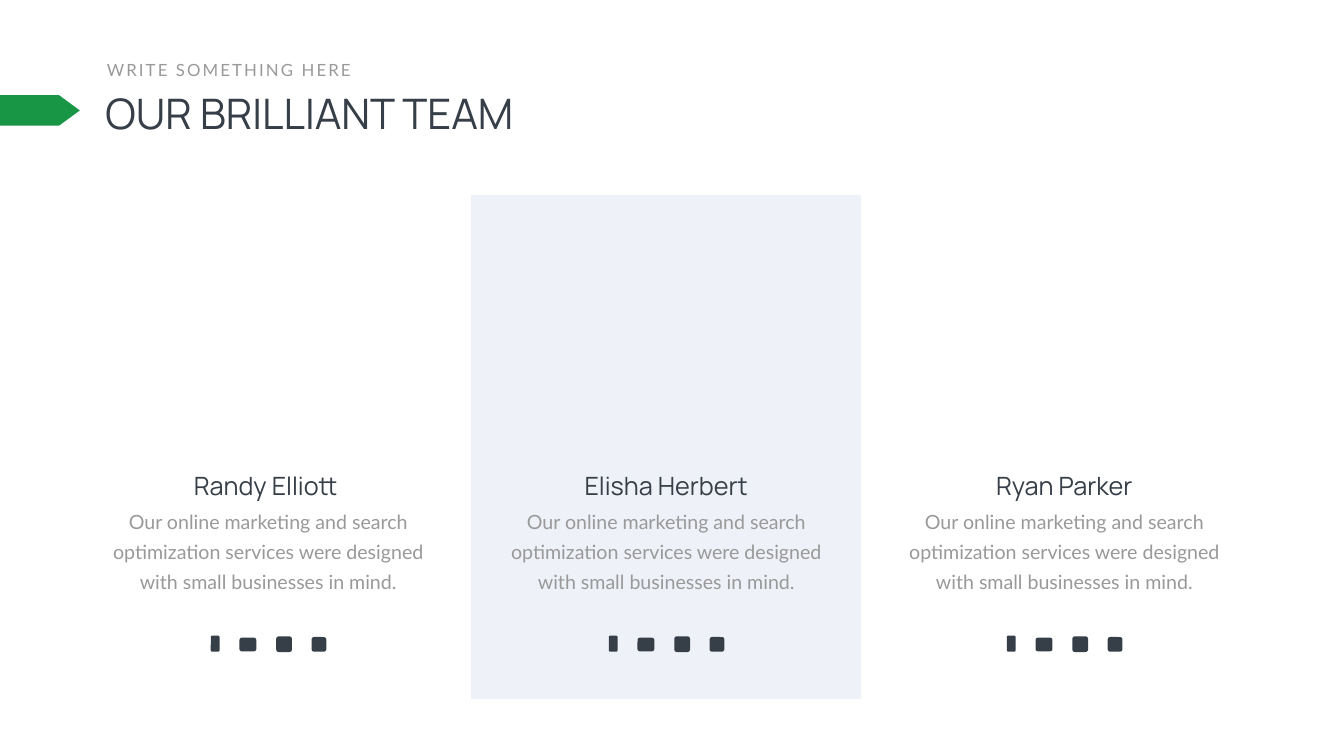
from pptx import Presentation
from pptx.dml.color import RGBColor
from pptx.enum import shapes, text
from pptx.util import Pt

DARK, GREY, GREEN, PALE = "363E48", "999999", "199645", "EFF1F8"
KIND = shapes.MSO_SHAPE
BIO = ("Our online marketing and search optimization services "
       "were designed with small businesses in mind.")
TEAM = ["Randy Elliott ", "Elisha Herbert", "Ryan Parker"]
MID, STEP = 383, 568.5  # centre of the first column, distance between columns
# Offset from the column centre, top, width, height
ICONS = [(-82, 908, 12.5, 23), (-41, 911, 24, 19.5),
         (11.5, 909, 22.5, 22.5), (62, 910, 21, 21)]


def color(code):
    return RGBColor.from_string(code)


def add_text(slide, words, x, y, w, h, size, font="Manrope", fill=DARK,
             center=False, wrap=True, line=None, track=0):
    """Add a text box; line is exact line spacing, track is letter spacing."""
    box = slide.shapes.add_textbox(Pt(x), Pt(y), Pt(w), Pt(h))
    frame = box.text_frame
    frame.word_wrap = wrap
    frame.auto_size = text.MSO_AUTO_SIZE.SHAPE_TO_FIT_TEXT
    para = frame.paragraphs[0]
    if center:
        para.alignment = text.PP_ALIGN.CENTER
    if line:
        para.line_spacing = Pt(line)
    run = para.add_run()
    run.text = words
    run.font.name = font
    run.font.size = Pt(size)
    run.font.color.rgb = color(fill)
    if track:
        run._r.get_or_add_rPr().set("spc", str(track * 100))


def add_shape(slide, kind, x, y, w, h, fill):
    shape = slide.shapes.add_shape(kind, Pt(x), Pt(y), Pt(w), Pt(h))
    shape.shadow.inherit = False
    shape.fill.solid()
    shape.fill.fore_color.rgb = color(fill)
    shape.line.fill.background()
    return shape


def add_head(slide):
    add_text(slide, "OUR BRILLIANT TEAM", 143.5, 121, 816.5, 80, 60)
    add_text(slide, "WRITE SOMETHING HERE", 145.5, 81.5, 370, 36, 24,
             font="Lato", fill=GREY, wrap=False, track=3)
    arrow = add_shape(slide, KIND.PENTAGON, 0, 136, 114, 43.5, GREEN)
    arrow.adjustments[0] = 0.68


def add_member(slide, name, mid):
    add_text(slide, BIO, mid - 246, 715, 492, 132.5, 28, font="Lato",
             fill=GREY, center=True, line=43)
    add_text(slide, name, mid - 130, 669, 260, 51, 36, center=True, wrap=False)
    for shift, y, w, h in ICONS:
        add_shape(slide, KIND.ROUNDED_RECTANGLE, mid + shift, y, w, h, DARK)


def main():
    deck = Presentation()
    deck.slide_width, deck.slide_height = Pt(1919.5), Pt(1080)
    slide = deck.slides.add_slide(deck.slide_layouts[6])
    add_head(slide)
    add_shape(slide, KIND.RECTANGLE, MID + STEP - 278.5, 278.5, 557, 720, PALE)
    for i, name in enumerate(TEAM):
        add_member(slide, name, MID + i * STEP)
    deck.save("out.pptx")


if __name__ == "__main__":
    main()
